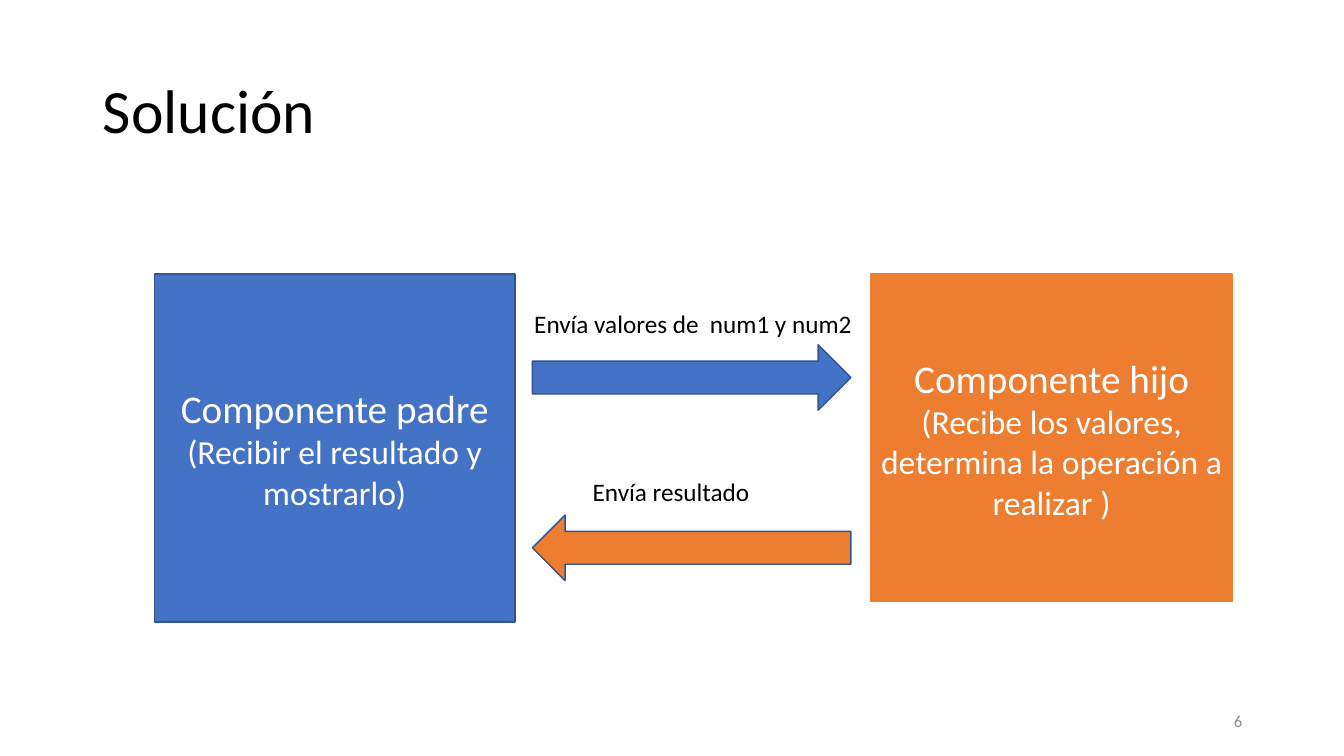
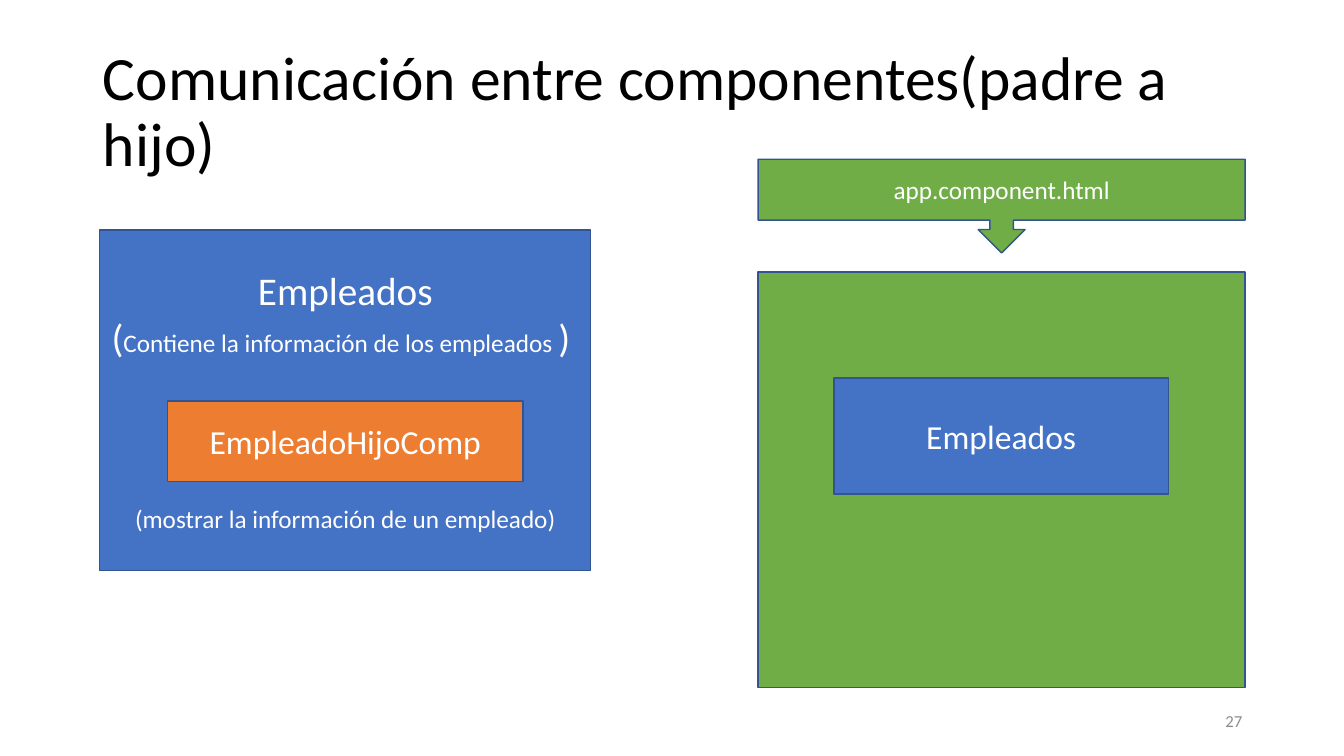
from dataclasses import dataclass
from typing import Any

from pptx import Presentation
from pptx.dml.color import RGBColor
from pptx.enum.shapes import MSO_SHAPE
from pptx.enum.text import MSO_ANCHOR, MSO_AUTO_SIZE, PP_ALIGN
from pptx.util import Inches, Pt

RECT = MSO_SHAPE.RECTANGLE
RIGHT_ARROW = MSO_SHAPE.RIGHT_ARROW
LEFT_ARROW = MSO_SHAPE.LEFT_ARROW
DOWN_CALLOUT = MSO_SHAPE.DOWN_ARROW_CALLOUT
MIDDLE, TOP = MSO_ANCHOR.MIDDLE, MSO_ANCHOR.TOP
LEFT, CENTER, RIGHT = PP_ALIGN.LEFT, PP_ALIGN.CENTER, PP_ALIGN.RIGHT
FIXED_SIZE, GROW = MSO_AUTO_SIZE.NONE, MSO_AUTO_SIZE.SHAPE_TO_FIT_TEXT

FONT = "Calibri"
BLUE, ORANGE, GREEN = "4472C4", "ED7D31", "70AD47"
OUTLINE, WHITE, BLACK, GRAY = "325491", "FFFFFF", "000000", "8C8C8C"

FRAME = {"vertical_anchor": MIDDLE, "word_wrap": True, "auto_size": FIXED_SIZE}
LABEL_FRAME = {"vertical_anchor": TOP, "word_wrap": False, "auto_size": GROW}

Area = tuple[float, float, float, float]
TITLE_AREA: Area = (0.92, 0.4, 11.5, 1.45)
NUMBER_AREA: Area = (9.42, 6.95, 3, 0.4)


@dataclass(frozen=True)
class Line:
    """One paragraph, as (text, points) runs."""
    runs: tuple[tuple[str, int], ...]
    before: float = 0


@dataclass(frozen=True)
class Block:
    area: Area
    fill: str
    lines: tuple[Line, ...] = ()
    preset: Any = RECT
    outline: str = OUTLINE


@dataclass(frozen=True)
class Label:
    area: Area
    text: str


@dataclass(frozen=True)
class Page:
    title: str
    number: int
    blocks: tuple[Block, ...]
    labels: tuple[Label, ...] = ()


def line(text: str, points: int, before: float = 0) -> Line:
    return Line(((text, points),), before)


def rgb(color: str) -> RGBColor:
    return RGBColor.from_string(color)


def set_all(target: Any, values: dict[str, Any]) -> None:
    for name, value in values.items():
        setattr(target, name, value)


def inches(area: Area) -> list[int]:
    return [Inches(length) for length in area]


def write(frame: Any, lines: tuple[Line, ...], color: str, frame_format: dict[str, Any],
          paragraph_format: dict[str, Any]) -> None:
    set_all(frame, frame_format)
    for index, content in enumerate(lines):
        paragraph = frame.paragraphs[0] if index == 0 else frame.add_paragraph()
        set_all(paragraph, paragraph_format | {"space_before": Pt(content.before)})
        for text, points in content.runs:
            run = paragraph.add_run()
            run.text = text
            set_all(run.font, {"name": FONT, "size": Pt(points)})
            run.font.color.rgb = rgb(color)


def add_block(slide: Any, block: Block) -> None:
    shape = slide.shapes.add_shape(block.preset, *inches(block.area))
    shape.shadow.inherit = False
    shape.fill.solid()
    shape.fill.fore_color.rgb = rgb(block.fill)
    shape.line.color.rgb = rgb(block.outline)
    shape.line.width = Pt(1)
    write(shape.text_frame, block.lines, WHITE, FRAME, {"alignment": CENTER})


def add_text(slide: Any, area: Area, content: Line, color: str,
             frame_format: dict[str, Any], alignment: Any) -> None:
    box = slide.shapes.add_textbox(*inches(area))
    write(box.text_frame, (content,), color, frame_format, {"alignment": alignment})


def add_page(deck: Any, page: Page) -> None:
    slide = deck.slides.add_slide(deck.slide_layouts[5])
    title = slide.shapes.title
    set_all(title, dict(zip(("left", "top", "width", "height"), inches(TITLE_AREA))))
    write(title.text_frame, (line(page.title, 44),), BLACK, FRAME,
          {"alignment": LEFT, "line_spacing": 0.9})
    for block in page.blocks:
        add_block(slide, block)
    for label in page.labels:
        add_text(slide, label.area, line(label.text, 18), BLACK, LABEL_FRAME, LEFT)
    add_text(slide, NUMBER_AREA, line(str(page.number), 12), GRAY, FRAME, RIGHT)


PAGES = (
    Page(
        "Solución", 6,
        blocks=(
            Block((1.53, 2.72, 3.58, 3.45), BLUE,
                  (line("Componente padre", 28),
                   line("(Recibir el resultado y mostrarlo)", 24))),
            Block((8.64, 2.72, 3.58, 3.25), ORANGE,
                  (line("Componente hijo", 28),
                   line("(Recibe los valores, determina la operación a realizar )", 24)),
                  outline=ORANGE),
            Block((5.28, 3.42, 3.16, 0.65), BLUE, preset=RIGHT_ARROW),
            Block((5.28, 5.11, 3.16, 0.65), ORANGE, preset=LEFT_ARROW),
        ),
        labels=(
            Label((5.2, 3.01, 3.39, 0.4), "Envía valores de  num1 y num2"),
            Label((5.78, 4.68, 1.77, 0.4), "Envía resultado"),
        ),
    ),
    Page(
        "Comunicación entre componentes(padre a hijo)", 27,
        blocks=(
            Block((0.99, 2.28, 4.87, 3.38), BLUE,
                  (line("Empleados", 28),
                   Line((("(", 28), ("Contiene la información de los empleados ", 18),
                         (") ", 28))),
                   line("(mostrar la información de un empleado)", 18, before=102))),
            Block((1.66, 3.98, 3.53, 0.8), ORANGE, (line("EmpleadoHijoComp", 24),)),
            Block((7.52, 2.7, 4.83, 4.12), GREEN),
            Block((8.27, 3.75, 3.32, 1.15), BLUE, (line("Empleados", 24),)),
            Block((7.52, 1.58, 4.83, 0.93), GREEN, (line("app.component.html", 18),),
                  DOWN_CALLOUT),
        ),
    ),
)


def main() -> None:
    deck = Presentation()
    set_all(deck, {"slide_width": Inches(13.33), "slide_height": Inches(7.5)})
    for page in PAGES:
        add_page(deck, page)
    deck.save("out.pptx")


if __name__ == "__main__":
    main()
